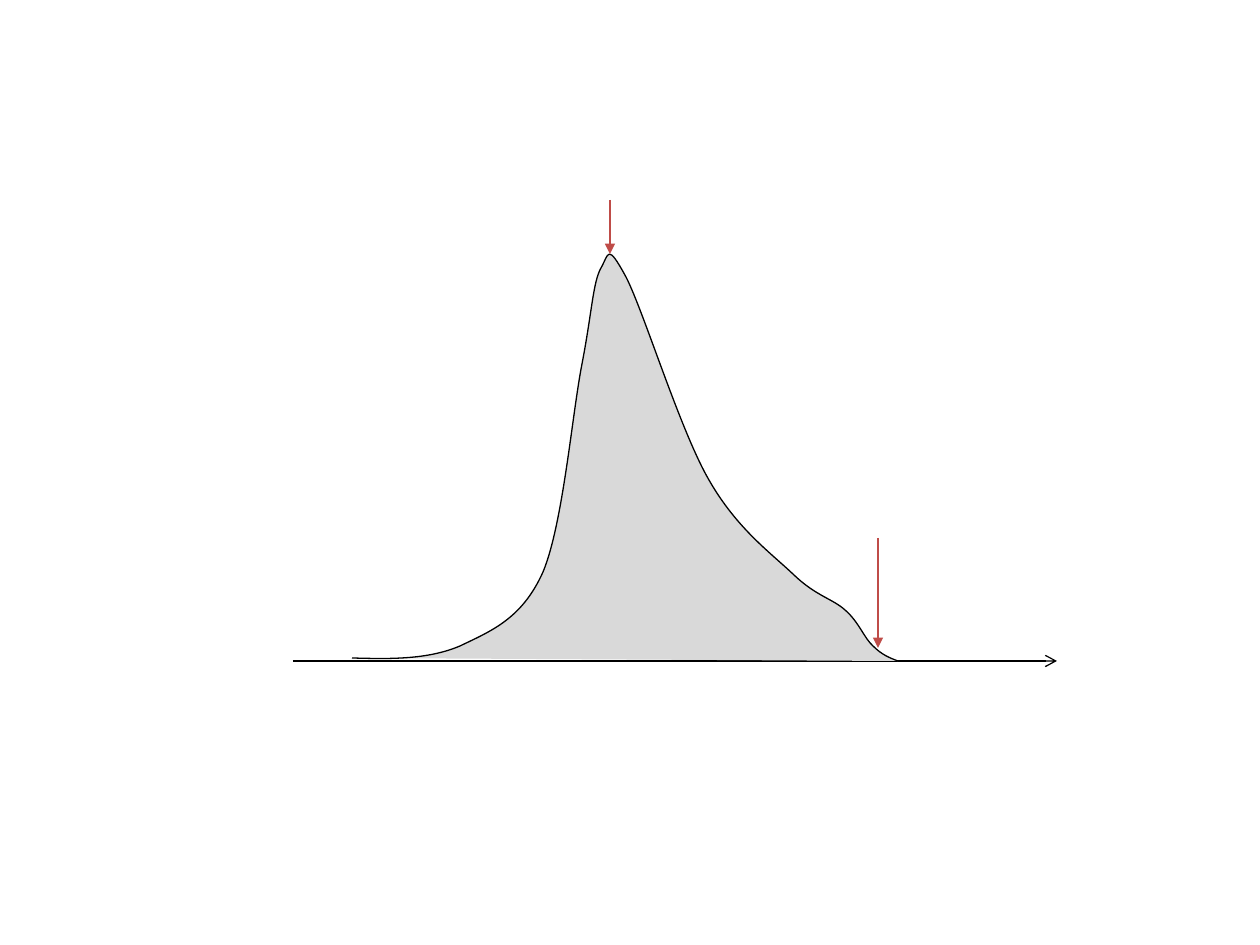
from typing import NamedTuple

from lxml import etree
from pptx import Presentation
from pptx.dml.color import RGBColor
from pptx.enum.shapes import MSO_CONNECTOR
from pptx.oxml.ns import qn
from pptx.util import Pt

STRAIGHT = MSO_CONNECTOR.STRAIGHT
EMU_PER_PX = 914400 / 126
BLACK, RED, GREY = "000000", "BF4C48", "D9D9D9"


class Point(NamedTuple):
    x: int
    y: int


class Arrow(NamedTuple):
    start: Point
    end: Point
    color: str
    width: float
    head: str


class Bend(NamedTuple):
    c1: Point
    c2: Point
    end: Point


AXIS = Arrow(Point(293, 661), Point(1057, 661), BLACK, 0.75, "arrow")
MARKERS = [
    Arrow(Point(878, 538), Point(878, 648), RED, 1, "triangle"),
    Arrow(Point(610, 200), Point(610, 254), RED, 1, "triangle"),
]
PEAK_Y = 254
CURVE_START = Point(352, 658)
CURVE = [
    Bend(Point(389, 659), Point(427, 660), Point(460, 646)),
    Bend(Point(491, 631), Point(522, 619), Point(543, 572)),
    Bend(Point(563, 524), Point(572, 415), Point(582, 364)),
    Bend(Point(592, 312), Point(593, 282), Point(601, 268)),
    Bend(Point(609, 254), Point(607, 242), Point(626, 277)),
    Bend(Point(644, 312), Point(680, 430), Point(709, 480)),
    Bend(Point(737, 529), Point(771, 553), Point(794, 575)),
    Bend(Point(816, 596), Point(833, 599), Point(845, 610)),
    Bend(Point(859, 622), Point(864, 638), Point(873, 646)),
    Bend(Point(882, 655), Point(890, 658), Point(898, 661)),
]


def px(value: int) -> int:
    return round(value * EMU_PER_PX)


def rgb(color: str) -> RGBColor:
    return RGBColor.from_string(color)


def add_arrow(s, arrow: Arrow) -> None:
    line = s.shapes.add_connector(STRAIGHT, *map(px, arrow.start + arrow.end))
    line.line.color.rgb = rgb(arrow.color)
    line.line.width = Pt(arrow.width)
    etree.SubElement(line.line._get_or_add_ln(), qn("a:tailEnd"), type=arrow.head)
    etree.SubElement(line._element.spPr, qn("a:effectLst"))


def add_curve(s, start: Point, bends: list[Bend], top: int) -> None:
    left, corner = start.x, bends[-1].end
    builder = s.shapes.build_freeform(px(left), px(top))
    builder.add_line_segments([(px(corner.x), px(corner.y))], close=False)
    sp = builder.convert_to_shape()
    outline = next(sp._element.iter(qn("a:path")))
    for child in list(outline):
        outline.remove(child)
    steps = [("a:moveTo", (start,)), *(("a:cubicBezTo", bend) for bend in bends)]
    for tag, points in steps:
        step = etree.SubElement(outline, qn(tag))
        for p in points:
            etree.SubElement(
                step, qn("a:pt"), x=str(px(p.x - left)), y=str(px(p.y - top))
            )
    sp.shadow.inherit = False
    sp.fill.solid()
    sp.fill.fore_color.rgb = rgb(GREY)
    sp.line.color.rgb = rgb(BLACK)
    sp.line.width = Pt(0.75)


def main() -> None:
    prs = Presentation()
    prs.slide_width, prs.slide_height = px(1260), px(945)
    s = prs.slides.add_slide(prs.slide_layouts[6])
    add_arrow(s, AXIS)
    add_curve(s, CURVE_START, CURVE, PEAK_Y)
    for marker in MARKERS:
        add_arrow(s, marker)
    prs.save("out.pptx")


if __name__ == "__main__":
    main()
